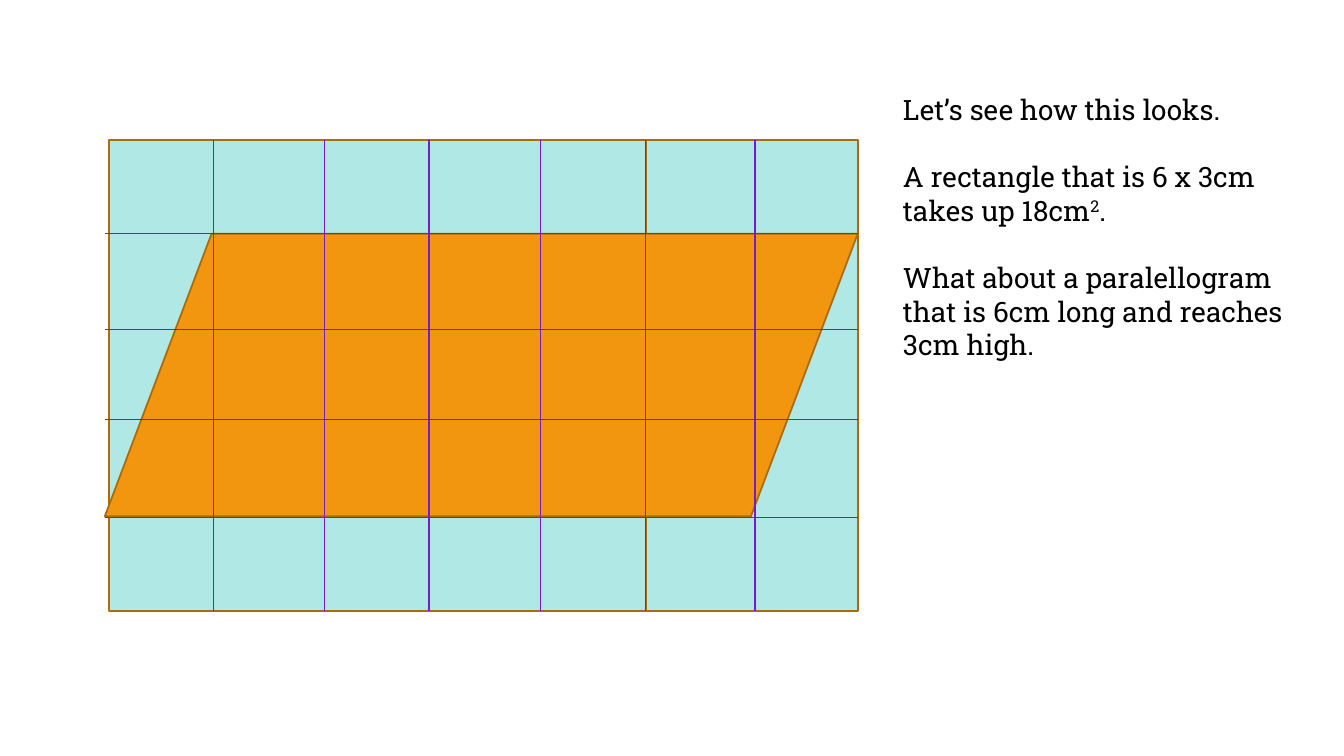
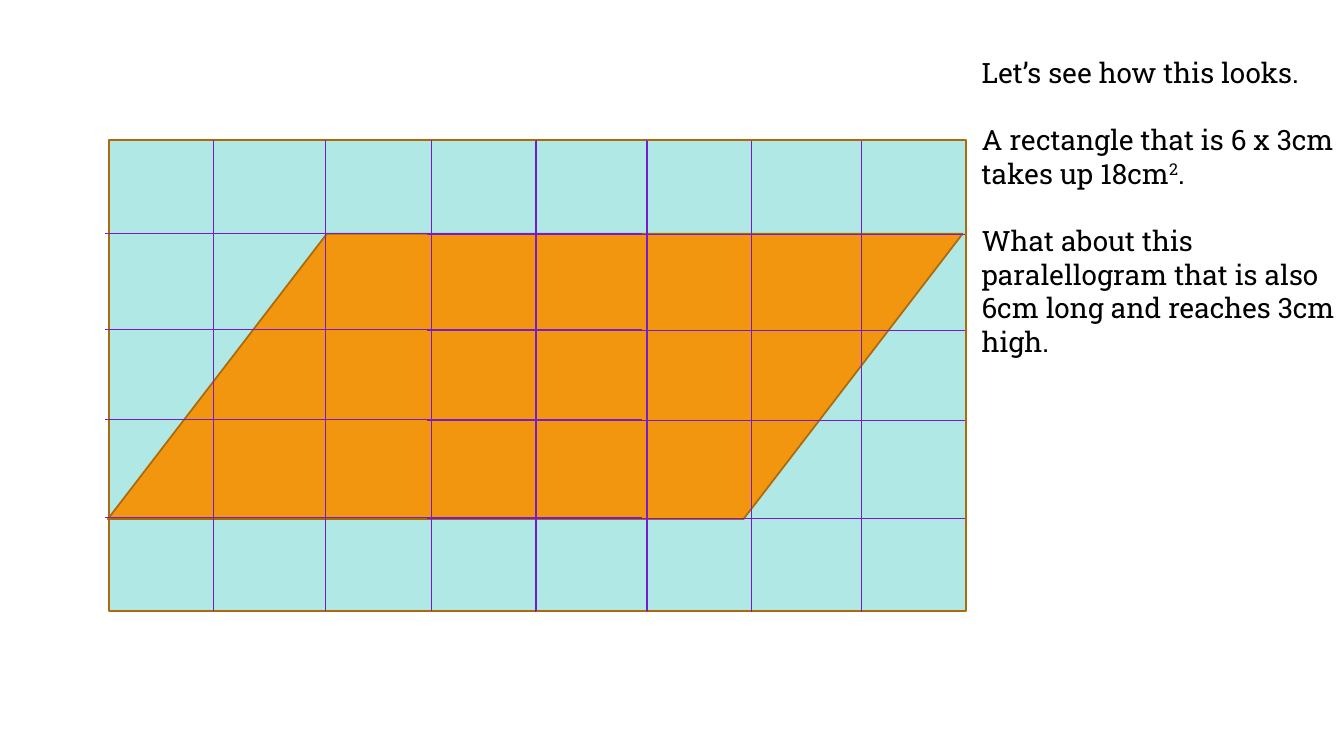
from dataclasses import dataclass

import pptx
import pptx.dml.color
import pptx.enum.shapes
import pptx.enum.text
import pptx.oxml
import pptx.util
from pptx.oxml import ns

Pt = pptx.util.Pt
SHAPES = pptx.enum.shapes.MSO_SHAPE

COLORS = {
    "panel": "B0E8E5",
    "parallelogram": "F3960F",
    "outline": "AC6A0B",
    "grid": "771BCC",
    "text": "000000",
}
FONT = "Roboto Slab"
PANEL_TOP = 100.1
PANEL_WIDTH = 384
PANEL_HEIGHT = 336.2
ROW_OFFSETS = (67, 135.4, 199.5, 269.3)
RECTANGLE_FACT = (("A rectangle that is 6 x 3cm takes up 18cm", False), ("2", True), (".", False))


@dataclass(frozen=True)
class Box:
    left: float
    top: float
    width: float
    height: float


@dataclass(frozen=True)
class Panel:
    left: float
    grid_left: float
    grid_top: float
    columns: tuple[float, ...]


@dataclass(frozen=True)
class AreaSlide:
    panels: tuple[Panel, ...]
    parallelogram: Box
    slant: float
    text_box: Box
    question: str


AREA_SLIDES = (
    AreaSlide(
        panels=(
            Panel(229, 229, PANEL_TOP, (306, 385.9, 460.8, 539.3)),
            Panel(77.8, 74.9, PANEL_TOP, (152.6, 231.8, 306.7)),
        ),
        parallelogram=Box(74.9, 167, 537.8, 201.8),
        slant=0.378,
        text_box=Box(637.9, 62.6, 283, 443.5),
        question="What about a paralellogram that is 6cm long and reaches 3cm high.",
    ),
    AreaSlide(
        panels=(
            Panel(306, 305.3, 100.8, (382.3, 462.2, 537.1, 615.6)),
            Panel(77.8, 74.9, PANEL_TOP, (152.6, 232.2, 308.2, 383, 461.5)),
        ),
        parallelogram=Box(77, 167, 610.6, 203.8),
        slant=0.768,
        text_box=Box(694.1, 36, 265.9, 468),
        question="What about this paralellogram that is also 6cm long and reaches 3cm high.",
    ),
)


def rgb(name: str) -> pptx.dml.color.RGBColor:
    return pptx.dml.color.RGBColor.from_string(COLORS[name])


def add_shape(s, kind, box: Box, fill: str):
    sp = s.shapes.add_shape(kind, Pt(box.left), Pt(box.top), Pt(box.width), Pt(box.height))
    sp.shadow.inherit = False
    sp.fill.solid()
    sp.fill.fore_color.rgb = rgb(fill)
    sp.line.color.rgb = rgb("outline")
    sp.line.width = Pt(1.25)
    return sp


def add_line(s, x1: float, y1: float, x2: float, y2: float) -> None:
    line = s.shapes.add_connector(
        pptx.enum.shapes.MSO_CONNECTOR.STRAIGHT, Pt(x1), Pt(y1), Pt(x2), Pt(y2)
    )
    line.line.color.rgb = rgb("grid")
    line.line.width = Pt(0.75)
    line._element.spPr.append(pptx.oxml.parse_xml(f"<a:effectLst {ns.nsdecls('a')}/>"))


def add_grid(s, panel: Panel) -> None:
    for x in panel.columns:
        add_line(s, x, panel.grid_top, x, panel.grid_top + PANEL_HEIGHT)
    for offset in ROW_OFFSETS:
        y = panel.grid_top + offset
        add_line(s, panel.grid_left, y, panel.grid_left + PANEL_WIDTH, y)


def add_run(p, text: str, *, size: float = 20, color: str = "text", superscript: bool = False) -> None:
    r = p.add_run()
    r.text = text
    r.font.name = FONT
    r.font.size = Pt(size)
    r.font.color.rgb = rgb(color)
    if superscript:
        r._r.get_or_add_rPr().set("baseline", "30000")


def add_explanation(s, box: Box, question: str) -> None:
    sp = s.shapes.add_textbox(Pt(box.left), Pt(box.top), Pt(box.width), Pt(box.height))
    tf = sp.text_frame
    tf.word_wrap = True
    tf.auto_size = pptx.enum.text.MSO_AUTO_SIZE.SHAPE_TO_FIT_TEXT
    tf.margin_right = 0
    paragraphs = ((("Let’s see how this looks.", False),), RECTANGLE_FACT, ((question, False),))
    for i, runs in enumerate(paragraphs):
        p = tf.add_paragraph() if i else tf.paragraphs[0]
        if i:
            p.space_before = Pt(24)
        for text, superscript in runs:
            add_run(p, text, superscript=superscript)


def add_area_slide(prs, area: AreaSlide) -> None:
    s = prs.slides.add_slide(prs.slide_layouts[6])
    for panel in area.panels:
        add_shape(s, SHAPES.RECTANGLE, Box(panel.left, PANEL_TOP, PANEL_WIDTH, PANEL_HEIGHT), "panel")
    sp = add_shape(s, SHAPES.PARALLELOGRAM, area.parallelogram, "parallelogram")
    sp.adjustments[0] = area.slant
    for panel in reversed(area.panels):
        add_grid(s, panel)
    add_explanation(s, area.text_box, area.question)


def main() -> None:
    prs = pptx.Presentation()
    prs.slide_width, prs.slide_height = Pt(960), Pt(540)
    for area in AREA_SLIDES:
        add_area_slide(prs, area)
    prs.save("out.pptx")


if __name__ == "__main__":
    main()
